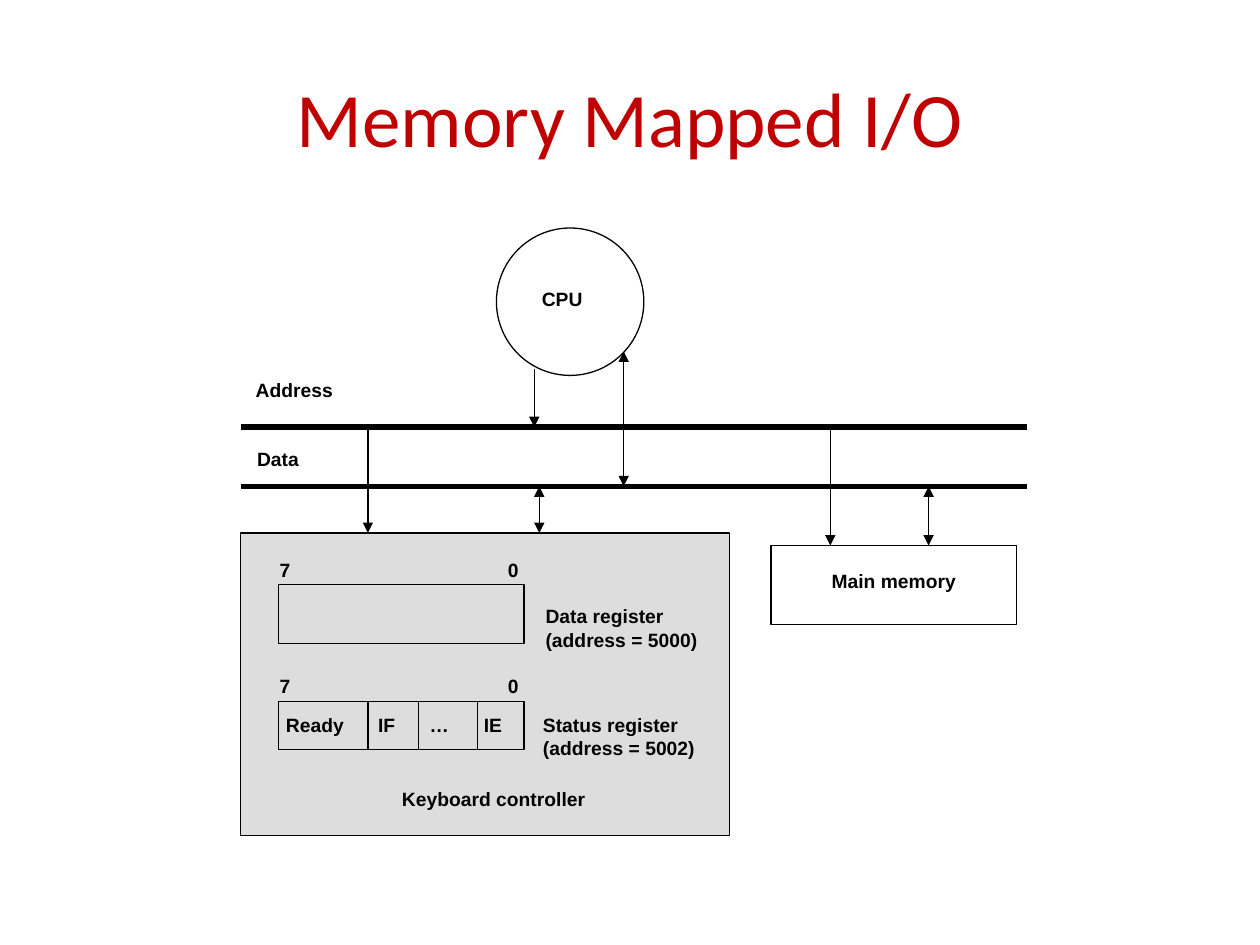
from lxml import etree
from pptx import Presentation
from pptx.dml.color import RGBColor
from pptx.enum import shapes, text
from pptx.oxml.ns import qn
from pptx.util import Inches, Pt


def rgb(value):
    return RGBColor.from_string(value)


def add_line(x1, y1, x2, y2, width=0.75, ends=()):
    c = s.shapes.add_connector(shapes.MSO_CONNECTOR.STRAIGHT,
                               Inches(x1), Inches(y1), Inches(x2), Inches(y2))
    c.line.color.rgb = rgb("000000")
    c.line.width = Pt(width)
    ln = c.line._get_or_add_ln()
    for end in ends:
        etree.SubElement(ln, qn(f"a:{end}"), type="triangle")
    etree.SubElement(c._element.spPr, qn("a:effectLst"))


prs = Presentation()
prs.slide_width, prs.slide_height = Inches(10), Inches(7.5)
s = prs.slides.add_slide(prs.slide_layouts[5])

title = s.shapes.title
title.left, title.top, title.width, title.height = map(Inches, (0.5, 0.3, 9, 1.25))
tf = title.text_frame
tf.text = "Memory Mapped I/O"
tf.vertical_anchor = text.MSO_ANCHOR.MIDDLE
p = tf.paragraphs[0]
p.alignment = text.PP_ALIGN.CENTER
r = p.runs[0]
r.font.name, r.font.size = "Calibri", Pt(44)
r.font.color.rgb = rgb("C00000")

address_y, data_y = 3.39, 3.86
keyboard_y, memory_y = 4.23, 4.33
status_y, status_h = 5.57, 0.38

OVAL, RECT = shapes.MSO_SHAPE.OVAL, shapes.MSO_SHAPE.RECTANGLE
for kind, x, y, w, h, fill in [
    (OVAL, 3.94, 1.81, 1.17, 1.17, None),
    (RECT, 6.12, memory_y, 1.95, 0.63, None),
    (RECT, 1.91, keyboard_y, 3.88, 2.4, "DDDDDD"),
    (RECT, 2.21, 4.64, 1.95, 0.47, None),
    (RECT, 2.21, status_y, 1.95, status_h, None),
]:
    sp = s.shapes.add_shape(kind, Inches(x), Inches(y), Inches(w), Inches(h))
    sp.shadow.inherit = False
    if fill:
        sp.fill.solid()
        sp.fill.fore_color.rgb = rgb(fill)
    else:
        sp.fill.background()
    sp.line.color.rgb = rgb("000000")
    sp.line.width = Pt(0.75)

for y in (address_y, data_y):
    add_line(1.91, y, 8.15, y, width=3)
for x in (2.92, 3.32, 3.79):
    add_line(x, status_y, x, status_y + status_h)
for x, y1, y2 in [(4.24, 2.93, address_y), (6.59, address_y, memory_y),
                  (2.92, address_y, keyboard_y)]:
    add_line(x, y1, x, y2, ends=["tailEnd"])
for x, y1, y2 in [(4.95, 2.79, data_y), (7.37, data_y, memory_y),
                  (4.28, data_y, keyboard_y)]:
    add_line(x, y1, x, y2, ends=["headEnd", "tailEnd"])

labels = [
    ("CPU", 4.25, 2.25, 0.52),
    ("Main memory", 6.55, 4.49, 1.18),
    ("Address", 1.98, 2.97, 0.93),
    ("Data", 1.99, 3.52, 0.74),
    ("Data register\n(address = 5000)", 4.28, 4.77, 1.41),
    ("Status register\n(address = 5002)", 4.26, 5.63, 1.43),
    ("Ready", 2.22, 5.63, 0.7),
    ("IF", 2.95, 5.63, 0.38),
    ("…", 3.36, 5.63, 0.39),
    ("IE", 3.79, 5.63, 0.39),
    ("Keyboard controller", 3.14, 6.22, 1.68),
]
for y in (4.4, 5.32):
    labels += [("7", 2.17, y, 0.28), ("0", 3.98, y, 0.28)]

for label, x, y, w in labels:
    h = 0.44 if "\n" in label else 0.26
    tf = s.shapes.add_textbox(Inches(x), Inches(y), Inches(w), Inches(h)).text_frame
    tf.word_wrap = True
    tf.margin_left = tf.margin_right = Inches(0.05)
    tf.margin_top = tf.margin_bottom = Inches(0.03)
    tf.text = label
    for p in tf.paragraphs:
        r = p.runs[0]
        r.font.name, r.font.size, r.font.bold = "Arial", Pt(11), True
        r.font.color.rgb = rgb("000000")

prs.save("out.pptx")
